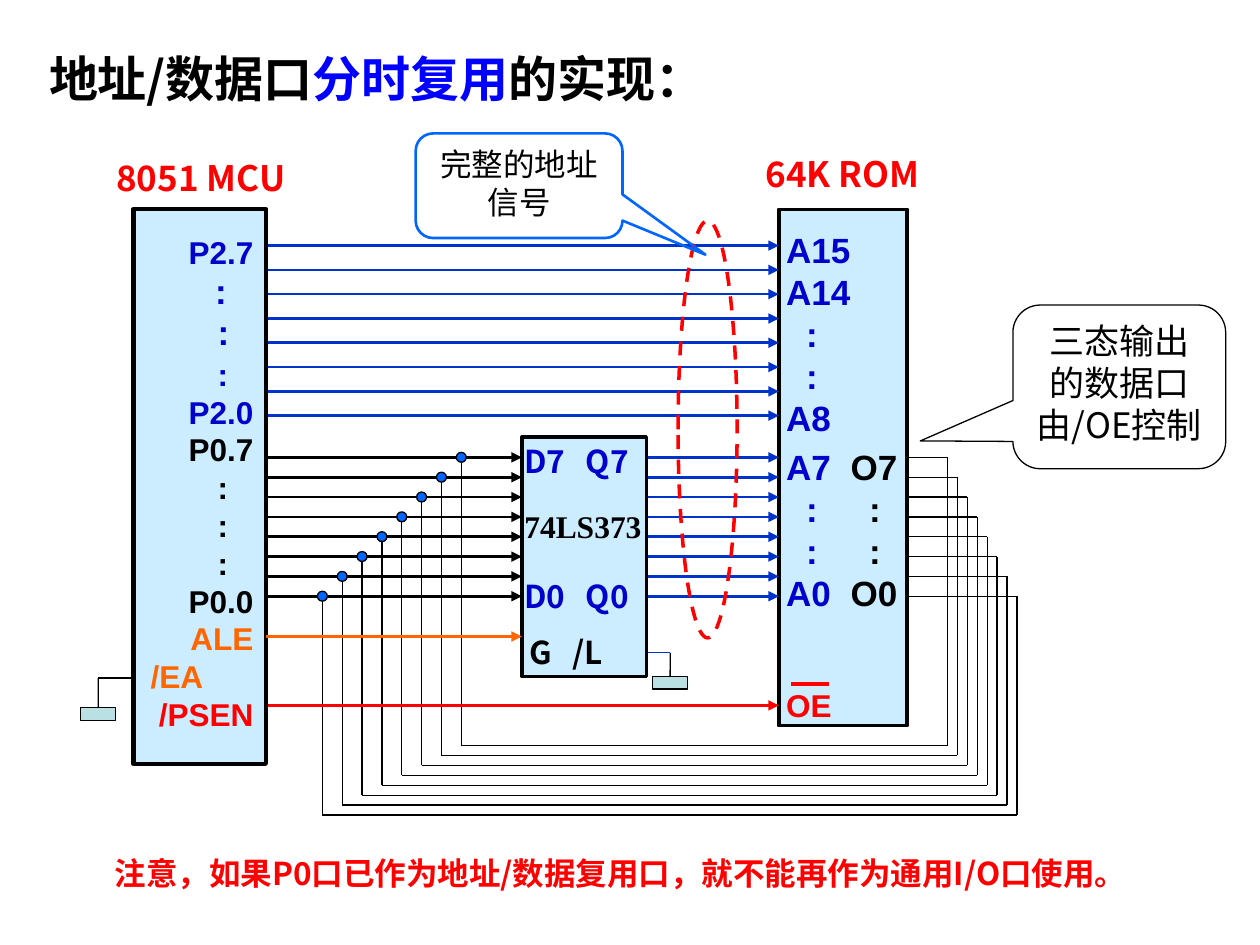
import pptx
import pptx.util
import pptx.dml.color
import pptx.enum.dml
import pptx.enum.shapes
import pptx.enum.text
import pptx.oxml.ns
from lxml import etree

Cm, Pt = pptx.util.Cm, pptx.util.Pt
SHAPE = pptx.enum.shapes.MSO_SHAPE
ALIGN = pptx.enum.text.PP_ALIGN
ANCHOR = pptx.enum.text.MSO_ANCHOR
qn = pptx.oxml.ns.qn

BLACK, RED, ORANGE = "000000", "FF0000", "FF6600"
NAVY, BLUE, DOT, PALE, TEAL = "0000CC", "0033CC", "0066FF", "CCECFF", "BBE0E3"
HAN, SANS, SERIF = "Noto Sans CJK SC", "Arial", "Times New Roman"

MCU = (2.69, 4.22, 2.67, 11.18)
LATCH = (10.52, 8.81, 2.51, 4.83)
ROM = (15.7, 4.22, 2.59, 10.41)

MCU_ROWS = [
    (18, 0, None, (), [("P2.7", NAVY)]),
    (20, 1.6, 1.4, (), [(":", NAVY)]),
    (20, 1.6, 1.45, (), [(":", NAVY)]),
    (18, 1.6, 1.45, (), [(":", NAVY)]),
    (18, 0, None, (), [("P2.0", NAVY)]),
    (18, 0, None, (), [("P0.7", BLACK)]),
    *[(18, 0, 1.45, (), [(":", BLACK)])] * 3,
    (18, 0, None, (), [("P0.0", BLACK)]),
    (18, 0, None, (), [("ALE", ORANGE)]),
    (18, 0, 0.1, (), [("/EA", ORANGE)]),
    (18, 0, None, (), [("/PSEN", RED)]),
]
ROM_ROWS = [
    (20, 0, 0, (), [("A15", NAVY)]),
    (20, 0, 0, (), [("A14", NAVY)]),
    *[(20, 0, 0.4, (), [(":", NAVY)])] * 2,
    (20, 0, 0, (), [("A8", NAVY)]),
    (20, 4, 0, (1.3,), [("A7", NAVY), ("\tO7", BLACK)]),
    *[(20, 0, 0.4, (1.94,), [(":", NAVY), ("\t:", BLACK)])] * 2,
    (20, 0, 0, (1.3,), [("A0", NAVY), ("\tO0", BLACK)]),
    (18, 39, 0, (), [("OE", RED)]),
]
LATCH_ROWS = [
    (18, 0, 0, (1.24,), [("D7\tQ7", NAVY)]),
    (18, 14, 0, (), [("74LS373", BLACK)]),
    (18, 16, 0, (1.24,), [("D0\tQ0", NAVY)]),
    (18, 8.5, 0, (0.1, 0.97), [("\tG\t/L", BLACK)]),
]
TITLE = [("地址/数据口", BLACK), ("分时复用", "0000FF"), ("的实现：", BLACK)]
NOTE = "注意，如果P0口已作为地址/数据复用口，就不能再作为通用I/O口使用。"
CALLS = [
    ((8.38, 2.69, 4.17, 2.11), (0.901, 0.659, 0.167), DOT, 1.5, 18, "完整的地址信号"),
    ((20.42, 6.15, 4.29, 3.3), (-0.935, 0.33, 0.167), BLACK, 0.75, 20,
     "三态输出的数据口由/OE控制"),
]

deck = pptx.Presentation()
deck.slide_width, deck.slide_height = Cm(25.4), Cm(19.05)
slide = deck.slides.add_slide(deck.slide_layouts[6])
items = slide.shapes


def rgb(code):
    return pptx.dml.color.RGBColor.from_string(code)


def wire(start, end, color=BLACK, width=0.75, head=False):
    line = items.add_connector(pptx.enum.shapes.MSO_CONNECTOR.STRAIGHT,
                               *map(Cm, start + end))
    line.line.color.rgb = rgb(color)
    line.line.width = Pt(width)
    if head:
        etree.SubElement(line.line._get_or_add_ln(), qn("a:tailEnd"), type="triangle")
    etree.SubElement(line._element.spPr, qn("a:effectLst"))
    return line


def draw(kind, at, fill, color, width):
    shape = items.add_shape(kind, *map(Cm, at))
    shape.shadow.inherit = False
    if fill:
        shape.fill.solid()
        shape.fill.fore_color.rgb = rgb(fill)
    else:
        shape.fill.background()
    shape.line.color.rgb = rgb(color)
    shape.line.width = Pt(width)
    return shape


def write(para, runs, size, face, bold):
    for text, color in runs:
        run = para.add_run()
        run.text = text
        if len(runs) > 1:
            run.font.color.rgb = rgb(color)
    font = para.font
    font.size, font.bold, font.name = Pt(size), bold, face
    if len(runs) == 1:
        font.color.rgb = rgb(runs[0][1])
    font._rPr.find(qn("a:latin")).addnext(
        etree.Element(qn("a:ea"), typeface=face))


def label(at, runs, size, align=ALIGN.LEFT, wrap=False, anchor=ANCHOR.TOP):
    frame = items.add_textbox(*map(Cm, at)).text_frame
    frame.word_wrap, frame.vertical_anchor = wrap, anchor
    para = frame.paragraphs[0]
    para.alignment = align
    write(para, runs, size, HAN, True)


def chip(at, width, rows, faces, pitch, left, top, right):
    frame = draw(SHAPE.RECTANGLE, at, PALE, BLACK, width).text_frame
    frame.word_wrap, frame.vertical_anchor = True, ANCHOR.TOP
    frame.margin_left, frame.margin_top = Cm(left), Cm(top)
    frame.margin_right, frame.margin_bottom = Cm(right), 0
    for i, (size, gap, indent, tabs, runs) in enumerate(rows):
        para = frame.add_paragraph() if i else frame.paragraphs[0]
        para.alignment = ALIGN.RIGHT if indent is None else ALIGN.LEFT
        para.line_spacing = Pt(pitch)
        if gap:
            para.space_before = Pt(gap)
        props = para._p.get_or_add_pPr()
        if indent:
            props.set("marL", str(Cm(indent)))
            props.set("indent", "0")
        if tabs:
            stops = etree.SubElement(props, qn("a:tabLst"))
            for stop in tabs:
                etree.SubElement(stops, qn("a:tab"), pos=str(Cm(stop)), algn="l")
        write(para, runs, size, faces.get(runs[0][0], faces["all"]), True)


def ground(edge, x, y, drop, color):
    plate = draw(SHAPE.RECTANGLE, (x - 0.35, y + drop, 0.7, 0.25), TEAL, BLACK, 0.75)
    wire((edge, y), (x, y), color)
    wire((x, y), (x, y + drop)).end_connect(plate, 0)


out, gate, pin = MCU[0] + MCU[2], LATCH[0] + LATCH[2], ROM[0] + ROM[2]

chip(ROM, 2, ROM_ROWS, {"all": SANS}, 24, 0.15, 0.38, 0)

for i in range(8):
    high, low = 4.95 + 0.49 * i, 9.22 + 0.4 * i
    wire((out, high), (ROM[0], high), BLUE, 1.5, True)
    wire((out, low), (LATCH[0], low), BLACK, 1.5, True)
    wire((gate, low), (ROM[0], low), BLUE, 1.5, True)
    tap, base, far = 9.3 - 0.4 * i, 15.03 + 0.2 * i, 19.1 + 0.2 * i
    loop = [(tap, low), (tap, base), (far, base), (far, low), (pin, low)]
    for start, end in zip(loop, loop[1:]):
        wire(start, end)
    draw(SHAPE.OVAL, (tap - 0.1, low - 0.1, 0.2, 0.2), DOT, BLACK, 0.75)

wire((out, 14.22), (ROM[0], 14.22), RED, 2, True)
wire((15.95, 13.79), (16.71, 13.79), RED, 2)
ring = draw(SHAPE.OVAL, (13.67, 4.45, 1.19, 8.41), None, RED, 2)
ring.line.dash_style = pptx.enum.dml.MSO_LINE.DASH

for at, tips, color, width, size, text in CALLS:
    call = draw(SHAPE.ROUNDED_RECTANGULAR_CALLOUT, at, None, color, width)
    for i, tip in enumerate(tips):
        call.adjustments[i] = tip
    frame = call.text_frame
    frame.word_wrap, frame.vertical_anchor = True, ANCHOR.TOP
    frame.paragraphs[0].alignment = ALIGN.CENTER
    write(frame.paragraphs[0], [(text, BLACK)], size, HAN, False)

ground(gate, 13.51, 13.16, 0.48, BLUE)
ground(MCU[0], 1.98, 13.67, 0.6, BLACK)
chip(LATCH, 2, LATCH_ROWS, {"all": HAN, "74LS373": SERIF}, 23.5, 0.05, 0.03, 0)
chip(MCU, 2.5, MCU_ROWS, {"all": SANS}, 21.6, 0.25, 0.48, 0.25)
wire((out, 12.83), (LATCH[0], 12.83), ORANGE, 2, True)

label((15.04, 2.62, 3.89, 1.75), [("64K ROM", RED)], 20, ALIGN.CENTER,
      anchor=ANCHOR.MIDDLE)
label((1.55, 2.93, 5, 1.3), [("8051 MCU", RED)], 20, ALIGN.CENTER,
      anchor=ANCHOR.MIDDLE)
label((0.74, 0.86, 13.94, 1.45), TITLE, 28)
label((2.06, 17.09, 21.5, 1.02), [(NOTE, RED)], 18, wrap=True)

deck.save("out.pptx")
